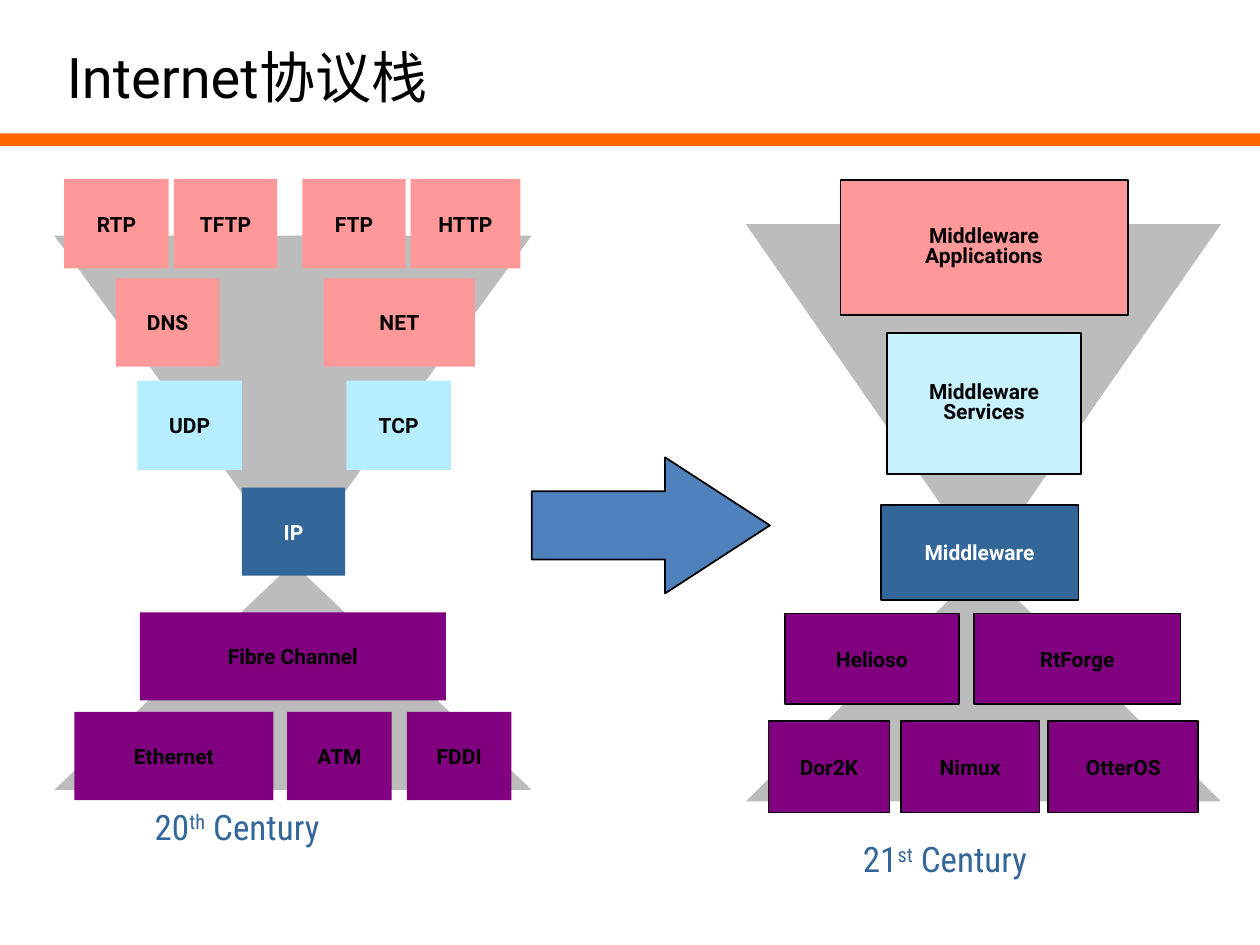
from pptx import Presentation
from pptx import util as u
from pptx.dml.color import RGBColor
from pptx.enum import shapes, text

Inches = u.Inches
BLACK, WHITE, GREY, ORANGE = "000000", "FFFFFF", "BCBCBC", "FF6600"
PINK, NAVY, PURPLE, ARROW_BLUE = "FF9999", "336699", "800080", "4F81BD"

# Each row: top, height, fill, text colour, boxes as (label, left, width)
STACKS = [
    {
        "left": 0.43, "width": 3.79, "top": 1.87, "waist": 4.47, "bottom": 6.27,
        "outline": None,
        "rows": [
            (1.42, 0.71, PINK, BLACK, [("RTP", 0.51, 0.83), ("TFTP", 1.38, 0.82),
                                       ("FTP", 2.4, 0.82), ("HTTP", 3.26, 0.87)]),
            (2.21, 0.7, PINK, BLACK, [("DNS", 0.92, 0.82), ("NET", 2.57, 1.2)]),
            (3.02, 0.71, "B7EEFF", BLACK, [("UDP", 1.09, 0.83), ("TCP", 2.75, 0.83)]),
            (3.87, 0.7, NAVY, WHITE, [("IP", 1.92, 0.82)]),
            (4.86, 0.7, PURPLE, BLACK, [("Fibre Channel", 1.11, 2.43)]),
            (5.65, 0.7, PURPLE, BLACK, [("Ethernet", 0.59, 1.58), ("ATM", 2.28, 0.83),
                                        ("FDDI", 3.23, 0.83)]),
        ],
        "caption": ("20", "th", " Century"), "caption_at": (1.13, 6.34, 2, 0.85),
    },
    {
        "left": 5.92, "width": 3.77, "top": 1.78, "waist": 4.49, "bottom": 6.36,
        "outline": BLACK,
        "rows": [
            (1.43, 1.07, PINK, BLACK, [("Middleware\nApplications", 6.67, 2.28)]),
            (2.64, 1.12, "C9F2FF", BLACK, [("Middleware\nServices", 7.04, 1.54)]),
            (4.01, 0.75, NAVY, WHITE, [("Middleware", 6.99, 1.57)]),
            (4.87, 0.72, PURPLE, BLACK, [("Helioso", 6.23, 1.38), ("RtForge", 7.73, 1.64)]),
            (5.72, 0.73, PURPLE, BLACK, [("Dor2K", 6.1, 0.96), ("Nimux", 7.15, 1.1),
                                         ("OtterOS", 8.32, 1.19)]),
        ],
        "caption": ("21", "st", " Century"), "caption_at": (6.75, 6.6, 1.88, 0.89),
    },
]


def rgb(value):
    return RGBColor.from_string(value)


def format_font(font, color, **values):
    font.color.rgb = rgb(color)
    for name, value in values.items():
        setattr(font, name, value)


def add_shape(parent, kind, at, fill, outline=None):
    shape = parent.shapes.add_shape(kind, *map(Inches, at))
    shape.shadow.inherit = False
    shape.fill.solid()
    shape.fill.fore_color.rgb = rgb(fill)
    if outline:
        shape.line.color.rgb = rgb(outline)
        shape.line.width = u.Pt(1)
    else:
        shape.line.fill.background()
    return shape


def add_box(parent, label, at, fill, color, outline):
    frame = add_shape(parent, shapes.MSO_SHAPE.RECTANGLE, at, fill, outline).text_frame
    frame.word_wrap = False
    frame.vertical_anchor = text.MSO_ANCHOR.MIDDLE
    frame.text = label
    for paragraph in frame.paragraphs:
        paragraph.alignment = text.PP_ALIGN.CENTER
        if "\n" in label:
            paragraph.line_spacing = 0.8
        format_font(paragraph.runs[0].font, color, name="Roboto", size=u.Pt(12), bold=True)


def add_caption(parent, parts, at):
    """Write a century label whose middle part is superscript."""
    frame = parent.shapes.add_textbox(*map(Inches, at)).text_frame
    frame.word_wrap = True
    for index, part in enumerate(parts):
        run = frame.paragraphs[0].add_run()
        run.text = part
        format_font(run.font, NAVY, name="Roboto Condensed", size=u.Pt(20))
        if index == 1:
            run.font._element.set("baseline", "30000")


def add_stack(slide, stack):
    group = slide.shapes.add_group_shape()
    left, width, waist = stack["left"], stack["width"], stack["waist"]
    triangle = shapes.MSO_SHAPE.ISOSCELES_TRIANGLE
    add_shape(group, triangle, (left, waist, width, stack["bottom"] - waist), GREY)
    funnel = add_shape(group, triangle, (left, stack["top"], width, waist - stack["top"]), GREY)
    funnel._element.spPr.xfrm.set("flipV", "1")
    for top, height, fill, color, boxes in stack["rows"]:
        for label, box_left, box_width in boxes:
            add_box(group, label, (box_left, top, box_width, height), fill, color,
                    stack["outline"])
    add_caption(group, stack["caption"], stack["caption_at"])


def add_title(slide, wording):
    title = slide.shapes.title
    title.left, title.top, title.width, title.height = map(Inches, (0.43, 0.29, 4.8, 0.64))
    frame = title.text_frame
    frame.text = wording
    frame.vertical_anchor = text.MSO_ANCHOR.TOP
    frame.paragraphs[0].alignment = text.PP_ALIGN.LEFT
    format_font(frame.paragraphs[0].runs[0].font, BLACK, name="Roboto", size=u.Pt(32))


def main():
    presentation = Presentation()
    presentation.slide_width, presentation.slide_height = Inches(10), Inches(7.5)
    slide = presentation.slides.add_slide(presentation.slide_layouts[5])
    add_shape(slide, shapes.MSO_SHAPE.RECTANGLE, (0, 1.06, 10, 0.1), ORANGE)
    add_title(slide, "Internet协议栈")
    for stack in STACKS:
        add_stack(slide, stack)
    arrow = add_shape(slide, shapes.MSO_SHAPE.RIGHT_ARROW, (4.22, 3.63, 1.89, 1.08),
                      ARROW_BLUE, BLACK)
    arrow.adjustments[1] = 0.77
    presentation.save("out.pptx")


if __name__ == "__main__":
    main()
